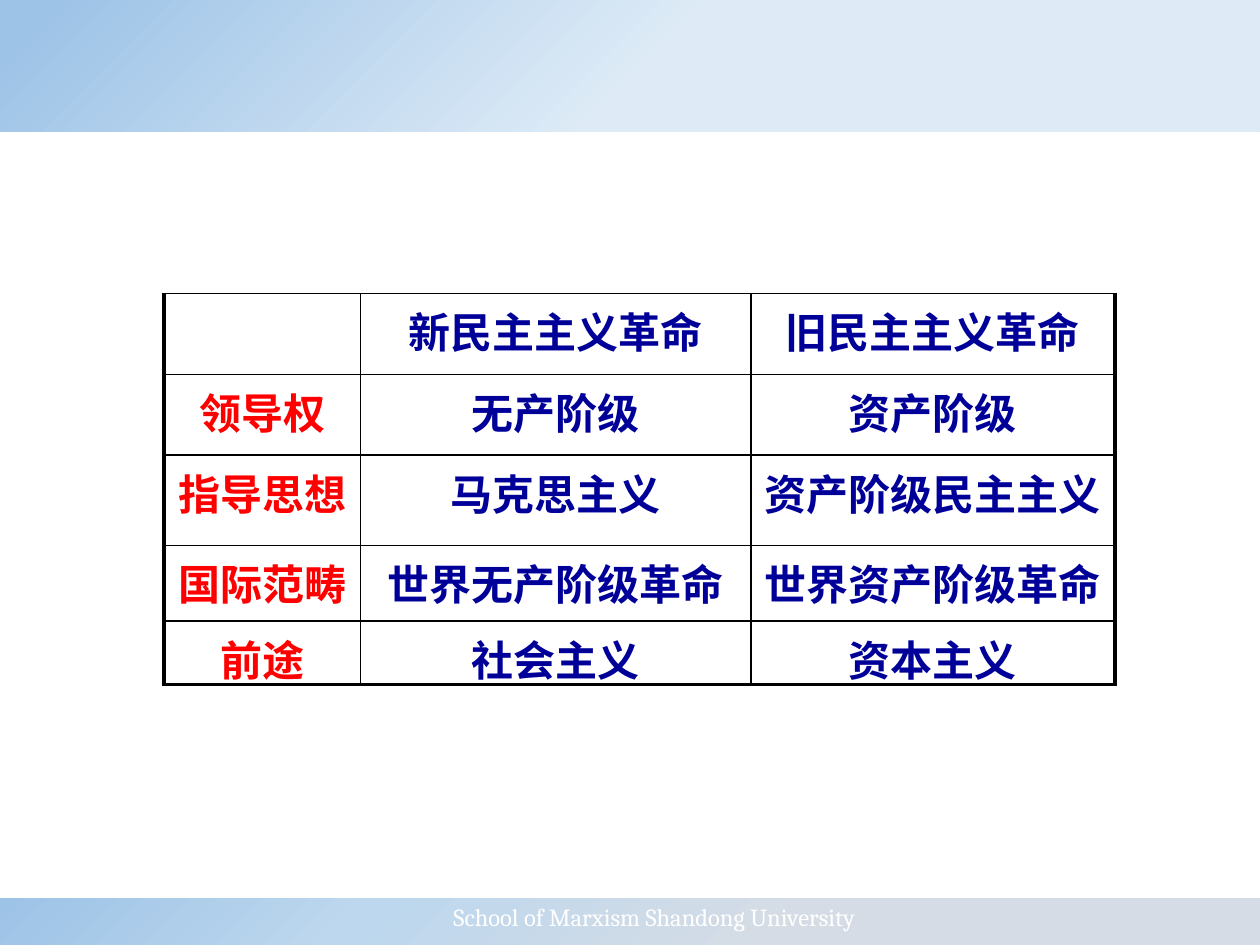
from lxml.etree import SubElement
from pptx import Presentation
from pptx.dml.color import RGBColor
from pptx.enum.shapes import MSO_CONNECTOR, MSO_SHAPE
from pptx.enum.text import PP_ALIGN
from pptx.oxml.ns import qn
from pptx.util import Pt

SLIDE_WIDTH, SLIDE_HEIGHT = 720, 540
WHITE, BLACK, NAVY, RED = "FFFFFF", "000000", "000099", "FF0000"
THIN, THICK = 1, 2.25
COLUMN_WIDTHS = [112.3, 223.2, 208.1]
ROW_HEIGHTS = [46.1, 46.1, 51.8, 43.2, 34.6]
ROWS = [
    ["", "新民主主义革命", "旧民主主义革命"],
    ["领导权", "无产阶级", "资产阶级"],
    ["指导思想", "马克思主义", "资产阶级民主主义"],
    ["国际范畴", "世界无产阶级革命", "世界资产阶级革命"],
    ["前途", "社会主义", "资本主义"],
]


def color(value):
    return RGBColor.from_string(value)


def write_text(frame, text, *, size, font, fill, bold=False,
               align=PP_ALIGN.LEFT, space_before=None):
    paragraph = frame.paragraphs[0]
    paragraph.alignment = align
    if space_before is not None:
        spacing = SubElement(paragraph._p.get_or_add_pPr(), qn("a:spcBef"))
        SubElement(spacing, qn("a:spcPct"), val=str(space_before * 1000))
    run = paragraph.add_run()
    run.text = text
    run.font.size, run.font.name, run.font.bold = Pt(size), font, bold
    run.font.color.rgb = color(fill)
    SubElement(run._r.get_or_add_rPr(), qn("a:ea"), typeface=font)


def add_gradient_band(slide, top, height, stops):
    band = slide.shapes.add_shape(MSO_SHAPE.RECTANGLE, 0, Pt(top),
                                  Pt(SLIDE_WIDTH), Pt(height))
    band.shadow.inherit = False
    band.line.fill.background()
    band.fill.gradient()
    gradient = band._element.spPr.find(qn("a:gradFill"))
    for child in list(gradient):
        gradient.remove(child)
    stop_list = SubElement(gradient, qn("a:gsLst"))
    for position, value in stops:
        stop = SubElement(stop_list, qn("a:gs"), pos=str(position * 1000))
        SubElement(stop, qn("a:srgbClr"), val=value)
    SubElement(gradient, qn("a:lin"), ang=str(45 * 60000), scaled="0")


def add_rule(slide, top, width):
    rule = slide.shapes.add_connector(MSO_CONNECTOR.STRAIGHT, 0, Pt(top),
                                      Pt(SLIDE_WIDTH), Pt(top))
    rule.line.color.rgb = color(WHITE)
    rule.line.width = Pt(width)
    SubElement(rule._element.spPr, qn("a:effectLst"))


def add_footer(slide, text):
    box = slide.shapes.add_textbox(Pt(252), Pt(512), Pt(260.6), Pt(24.5))
    box.text_frame.word_wrap = True
    write_text(box.text_frame, text, size=14, font="Cambria", fill=WHITE)


def set_borders(cell, **widths):
    properties = cell._tc.get_or_add_tcPr()
    for index, (side, width) in enumerate(widths.items()):
        line = SubElement(properties, qn(f"a:ln{side}"), w=str(Pt(width)))
        fill = SubElement(line, qn("a:solidFill"))
        SubElement(fill, qn("a:srgbClr"), val=BLACK)
        # Borders come before the fill in the cell properties
        properties.insert(index, line)


def add_comparison_table(slide):
    last_row, last_column = len(ROWS) - 1, len(COLUMN_WIDTHS) - 1
    table = slide.shapes.add_table(
        len(ROWS), len(COLUMN_WIDTHS), Pt(93.6), Pt(167.8),
        Pt(sum(COLUMN_WIDTHS)), Pt(sum(ROW_HEIGHTS))).table
    table.first_row = table.horz_banding = False
    for column, width in zip(table.columns, COLUMN_WIDTHS):
        column.width = Pt(width)
    for row, height in zip(table.rows, ROW_HEIGHTS):
        row.height = Pt(height)
    for row_index, texts in enumerate(ROWS):
        for column_index, text in enumerate(texts):
            cell = table.cell(row_index, column_index)
            cell.fill.background()
            set_borders(cell,
                        L=THICK if column_index == 0 else THIN,
                        R=THICK if column_index == last_column else THIN,
                        T=THIN,
                        B=THICK if row_index == last_row else THIN)
            if text:
                write_text(cell.text_frame, text, size=24, bold=True,
                           font="Noto Sans CJK SC",
                           fill=RED if column_index == 0 else NAVY,
                           align=PP_ALIGN.CENTER, space_before=20)


def main():
    presentation = Presentation()
    presentation.slide_width = Pt(SLIDE_WIDTH)
    presentation.slide_height = Pt(SLIDE_HEIGHT)
    slide = presentation.slides.add_slide(presentation.slide_layouts[6])

    # Header and footer bands
    add_gradient_band(slide, -19.4, 94.3,
                      [(6, "9DC3E6"), (53, "DEEBF7"), (73, "E1E8F5")])
    add_gradient_band(slide, 513.4, 28.8,
                      [(0, "9DC3E6"), (29, "BDD7EE"), (63, "D6DCE5")])
    add_rule(slide, 77, 1.5)
    add_footer(slide, "School of Marxism Shandong University")
    add_rule(slide, 512, 1)

    # Comparison of the two revolutions
    add_comparison_table(slide)
    presentation.save("out.pptx")


main()
